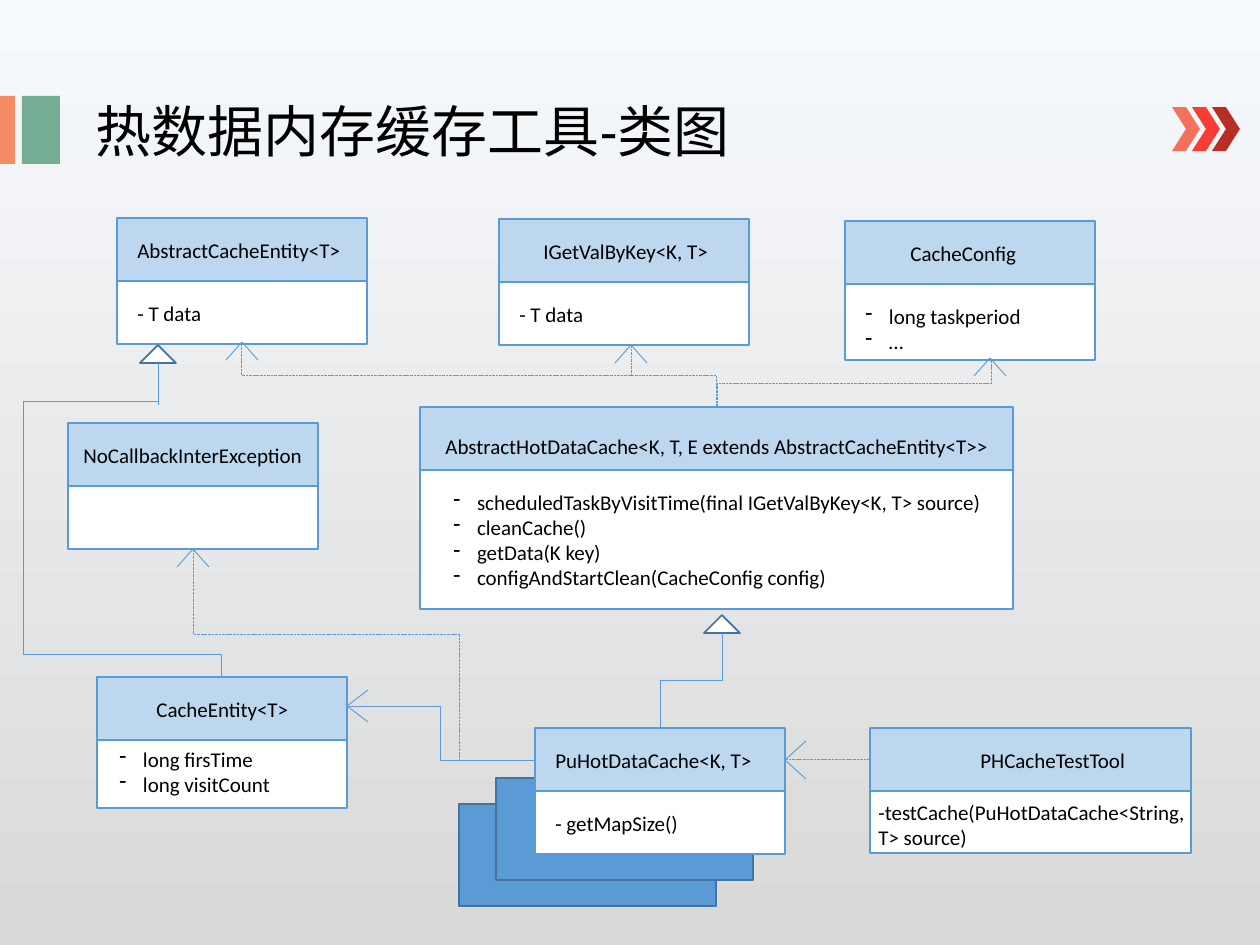
from pptx import Presentation
from pptx.dml.color import RGBColor
from pptx.enum.dml import MSO_LINE
from pptx.enum.shapes import MSO_CONNECTOR as Conn, MSO_SHAPE as Kind
from pptx.enum.text import PP_ALIGN as Align
from pptx.oxml.ns import qn
from pptx.util import Pt
from lxml.etree import SubElement

SCALE = 914400 / 126
FONT = "Calibri"
BLACK = RGBColor(0, 0, 0)
WHITE = RGBColor(255, 255, 255)
BLUE = RGBColor(0x5B, 0x9B, 0xD5)
NAVY = RGBColor(0x43, 0x73, 0x9E)
PALE = RGBColor(0xBD, 0xD7, 0xEE)
CORAL = RGBColor(0xF5, 0x8C, 0x65)
GREEN = RGBColor(0x74, 0xAD, 0x93)
SKY = RGBColor(0xF7, 0xFA, 0xFD)
GREY = RGBColor(0xD9, 0xD9, 0xD9)
REDS = [RGBColor(0xF5, 0x71, 0x5B), RGBColor(0xF9, 0x3D, 0x32),
        RGBColor(0xB8, 0x2E, 0x24)]

TITLE = "热数据内存缓存工具-类图"
HEAD = 63
# name, (left, top, width, body height), name offset, list offset, text width, items, bullets
CLASSES = [
    ("AbstractHotDataCache<K, T, E extends AbstractCacheEntity<T>>",
     (420, 407, 593, 139), (13, 20), (21, 13), 840,
     ["scheduledTaskByVisitTime(final IGetValByKey<K, T> source)",
      "cleanCache()", "getData(K key)",
      "configAndStartClean(CacheConfig config)"], True),
    ("PuHotDataCache<K, T>", (535, 728, 250, 63), (8, 13), (8, 13), 276,
     ["- getMapSize()"], False),
    ("AbstractCacheEntity<T>", (117, 218, 250, 63), (8, 13), (8, 13), 276,
     ["- T data"], False),
    ("CacheConfig", (845, 221, 250, 76), (53, 13), (8, 13), 276,
     ["long taskperiod", "…"], True),
    ("IGetValByKey<K, T>", (499, 219, 250, 63), (32, 13), (8, 13), 276,
     ["- T data"], False),
    ("NoCallbackInterException", (68, 423, 250, 63), (3, 13), (8, 13), 276,
     [], False),
    ("PHCacheTestTool", (870, 728, 321, 62), (98, 13), (-4, 2), 333,
     ["-testCache(PuHotDataCache<String, T> source)"], False),
    ("CacheEntity<T>", (97, 677, 250, 68), (47, 13), (10, 0), 276,
     ["long firsTime", "long visitCount"], True),
]
# start, end, dashed, vertical first, bends, bend position
ELBOWS = [
    ((660, 728), (722, 633), False, True, 2, 0.5),
    ((717, 407), (242, 344), True, True, 2, 0.5),
    ((717, 407), (991, 360), True, True, 2, 0.5),
    ((193, 549), (459, 634), True, True, 1, None),
    ((459, 634), (535, 760), True, True, 1, None),
    ((535, 760), (347, 706), False, False, 2, 0.5),
    ((222, 677), (23, 654), False, True, 1, None),
    ((23, 654), (158, 405), False, True, 2, 1.015),
]
STEMS = [((631, 345), (631, 375), True), ((158, 403), (158, 363), False)]
UP_TIPS = [(193, 549), (242, 342), (631, 345), (990, 358)]
LEFT_TIPS = [(347, 706, 16), (785, 760, 19)]
PEAKS = [(704, 615), (140, 345)]


def px(*nums):
    return [round(n * SCALE) for n in nums]


def block(kind, box, fill, edge=None):
    shape = slide.shapes.add_shape(kind, *px(*box))
    shape.shadow.inherit = False
    shape.fill.solid()
    shape.fill.fore_color.rgb = fill
    if edge is None:
        shape.line.fill.background()
    else:
        shape.line.color.rgb = edge
        shape.line.width = Pt(1)
    return shape


def style(para, size):
    para.font.size = Pt(size)
    para.font.name = FONT
    para.font.color.rgb = BLACK


def label(x, y, width, items, dash=False):
    height = 13 + 25 * len(items)
    frame = slide.shapes.add_textbox(*px(x, y, width, height)).text_frame
    frame.word_wrap = True
    for i, item in enumerate(items):
        para = frame.add_paragraph() if i else frame.paragraphs[0]
        para.text = item
        style(para, 12)
        if dash:
            props = para._p.get_or_add_pPr()
            props.set("marL", "171450")
            props.set("indent", "-171450")
            SubElement(props, qn("a:buChar")).set("char", "-")


def wire(start, end, dash=False, kind=Conn.STRAIGHT):
    line = slide.shapes.add_connector(kind, *px(*start, *end))
    line.line.color.rgb = BLUE
    line.line.width = Pt(0.5)
    if dash:
        line.line.dash_style = MSO_LINE.SQUARE_DOT
    SubElement(line._element.spPr, qn("a:effectLst"))
    return line


def elbow(start, end, dash, upright, bends, turn):
    if upright:
        (x1, y1), (x2, y2) = start, end
        mx, my = (x1 + x2) / 2, (y1 + y2) / 2
        dx, dy = (x2 - x1) / 2, (y2 - y1) / 2
        start, end = (mx - dy, my + dx), (mx + dy, my - dx)
    props = wire(start, end, dash, Conn.ELBOW)._element.spPr
    if upright:
        props.find(qn("a:xfrm")).set("rot", "5400000")
    shape = props.find(qn("a:prstGeom"))
    shape.set("prst", f"bentConnector{bends + 1}")
    if bends == 2:
        guide = SubElement(shape.find(qn("a:avLst")), qn("a:gd"))
        guide.set("name", "adj1")
        guide.set("fmla", f"val {round(turn * 100000)}")


deck = Presentation()
deck.slide_width, deck.slide_height = px(1260, 945)
slide = deck.slides.add_slide(deck.slide_layouts[5])

back = slide.background.fill
back.gradient()
back.gradient_angle = 270
for stop, tone, place in zip(back.gradient_stops, (SKY, GREY), (0, 0.99)):
    stop.color.rgb = tone
    stop.position = place

title = slide.shapes.title
title.left, title.top, title.width, title.height = px(83, 90, 878, 80)
title.text_frame.text = TITLE
para = title.text_frame.paragraphs[0]
para.alignment = Align.LEFT
style(para, 32)

block(Kind.RECTANGLE, (459, 804, 257, 102), BLUE, NAVY)
block(Kind.RECTANGLE, (496, 778, 257, 102), BLUE, NAVY)
block(Kind.RECTANGLE, (0, 96, 15, 68), CORAL)
block(Kind.RECTANGLE, (22, 96, 38, 68), GREEN)
for i, red in enumerate(REDS):
    block(Kind.CHEVRON, (1172 + 20 * i, 107, 28, 44), red)

heads = {}
for name, (x, y, w, h), (nx, ny), (lx, ly), wide, items, dash in CLASSES:
    heads[name] = block(Kind.RECTANGLE, (x, y, w, HEAD), PALE, BLUE)
    block(Kind.RECTANGLE, (x, y + HEAD, w, h), WHITE, BLUE)
    label(x + nx, y + ny, wide, [name])
    if items:
        label(x + lx, y + HEAD + ly, wide, items, dash)

for x, y in PEAKS:
    block(Kind.ISOSCELES_TRIANGLE, (x, y, 36, 18), WHITE, NAVY)
for spec_row in ELBOWS:
    elbow(*spec_row)
for start, end, dash in STEMS:
    wire(start, end, dash)
link = wire((870, 760), (785, 760), True)
link.begin_connect(heads["PHCacheTestTool"], 1)
link.end_connect(heads["PuHotDataCache<K, T>"], 3)
for side in (-1, 1):
    for x, y in UP_TIPS:
        wire((x + side * 16, y + 18), (x, y))
    for x, y, rise in LEFT_TIPS:
        wire((x + 21, y + side * rise), (x, y))

deck.save("out.pptx")
